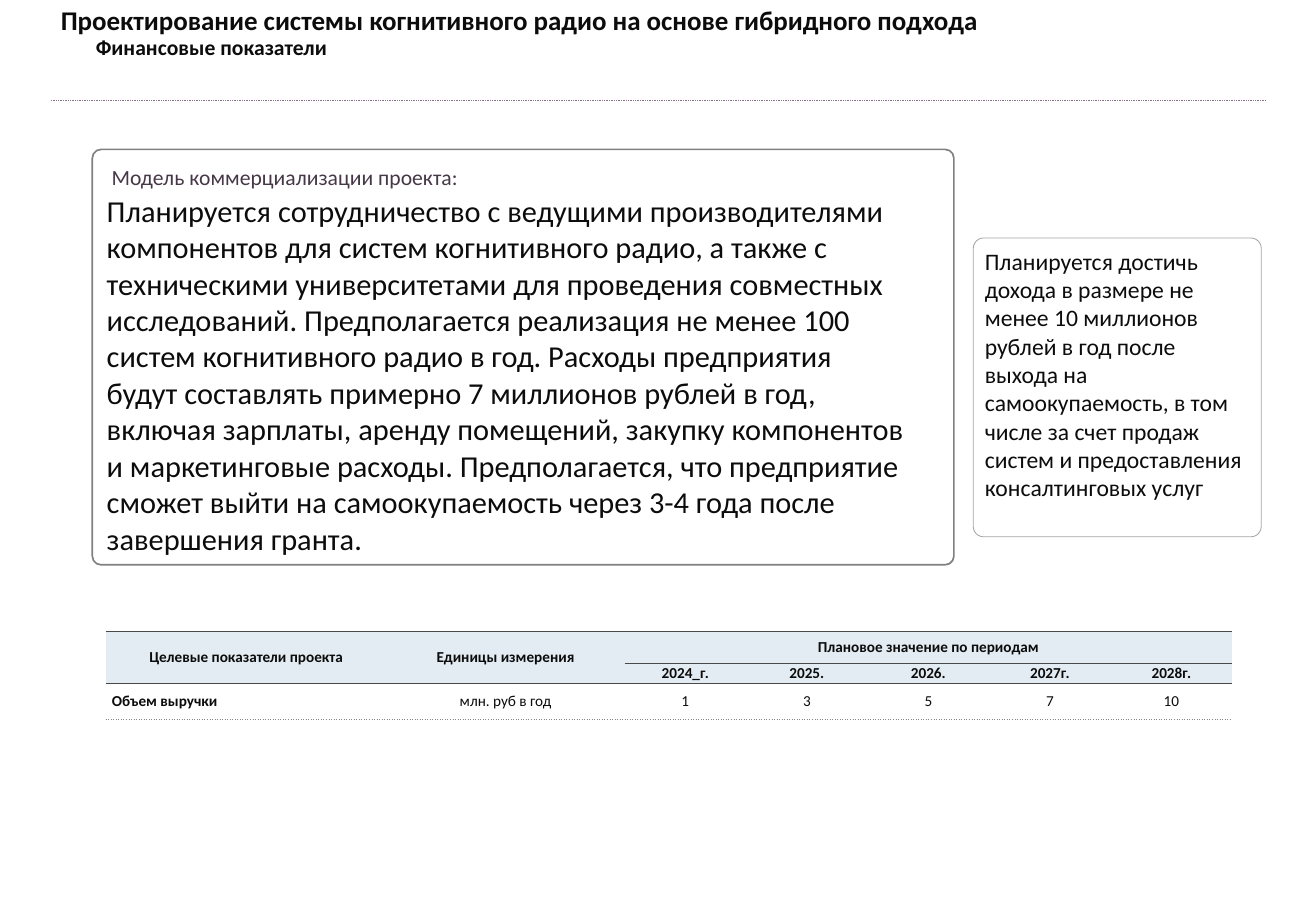
from pptx import Presentation
from pptx.dml.color import RGBColor
from pptx.enum.dml import MSO_LINE
from pptx.enum.shapes import MSO_CONNECTOR, MSO_SHAPE
from pptx.enum.text import MSO_ANCHOR as ANCHOR, MSO_AUTO_SIZE as FIT, PP_ALIGN as ALIGN
from pptx.oxml import parse_xml
from pptx.oxml.ns import nsdecls
from pptx.util import Inches, Pt

FONT = "Calibri"
INK = RGBColor(0x0C, 0x0C, 0x0C)
PLUM = RGBColor(0x47, 0x38, 0x48)
MAUVE = RGBColor(0x8E, 0x70, 0x8F)
WHITE = RGBColor(0xFF, 0xFF, 0xFF)
GRAY = RGBColor(0x80, 0x80, 0x80)
SILVER = RGBColor(0xA6, 0xA6, 0xA6)
PALE = RGBColor(0xE3, 0xEC, 0xF3)
DARK = RGBColor(0x49, 0x49, 0x49)
DOTS = RGBColor(0x86, 0x86, 0x86)

TITLE = "Проектирование системы когнитивного радио на основе гибридного подхода"
MODEL = (
    "Планируется сотрудничество с ведущими производителями компонентов для систем "
    "когнитивного радио, а также с техническими университетами для проведения "
    "совместных исследований. Предполагается реализация не менее 100 систем "
    "когнитивного радио в год. Расходы предприятия будут составлять примерно "
    "7 миллионов рублей в год, включая зарплаты, аренду помещений, закупку "
    "компонентов и маркетинговые расходы. Предполагается, что предприятие сможет "
    "выйти на самоокупаемость через 3-4 года после завершения гранта."
)
INCOME = (
    "Планируется достичь дохода в размере не менее 10 миллионов рублей в год после "
    "выхода на самоокупаемость, в том числе за счет продаж систем и предоставления "
    "консалтинговых услуг"
)
WIDTHS = [2.31, 1.96] + [1] * 5
HEIGHTS = [0.26, 0.17, 0.29]
ROWS = [
    ["Целевые показатели проекта", "Единицы измерения",
     "Плановое значение по периодам", "", "", "", ""],
    ["", "", "2024_г.", "2025.", "2026.", "2027г.", "2028г."],
    ["Объем выручки", "млн. руб в год", "1", "3", "5", "7", "10"],
]


def place(box):
    return [Inches(n) for n in box]


def write(frame, text, size, color=INK, bold=False, align=ALIGN.LEFT):
    frame.text = text
    par = frame.paragraphs[0]
    par.alignment = align
    font = par.font
    font.name, font.size, font.bold = FONT, Pt(size), bold
    font.color.rgb = color


def add_title(slide, box, text):
    title = slide.shapes.title
    title.left, title.top, title.width, title.height = place(box)
    frame = title.text_frame
    frame.word_wrap = True
    frame.auto_size = FIT.NONE
    frame.vertical_anchor = ANCHOR.TOP
    write(frame, text, 16, bold=True)


def add_text(slide, box, text, size, color=INK, bold=False):
    frame = slide.shapes.add_textbox(*place(box)).text_frame
    frame.word_wrap = True
    write(frame, text, size, color, bold)


def add_panel(slide, box, radius, color, width):
    panel = slide.shapes.add_shape(MSO_SHAPE.ROUNDED_RECTANGLE, *place(box))
    panel.adjustments[0] = radius
    panel.shadow.inherit = False
    panel.fill.background()
    panel.line.color.rgb = color
    panel.line.width = Pt(width)
    return panel


def add_rule(slide, left, right, top):
    rule = slide.shapes.add_connector(
        MSO_CONNECTOR.STRAIGHT, *place([left, top, right, top]))
    rule.line.color.rgb = MAUVE
    rule.line.width = Pt(0.5)
    rule.line.dash_style = MSO_LINE.ROUND_DOT
    rule._element.spPr.append(parse_xml(f"<a:effectLst {nsdecls('a')}/>"))


def set_edges(cell, last):
    props = cell._tc.get_or_add_tcPr()
    for side in "LR":
        props.append(parse_xml(
            f'<a:ln{side} {nsdecls("a")} w="0"><a:noFill/></a:ln{side}>'))
    foot = (DOTS, "sysDot") if last else (DARK, "solid")
    for side, (color, dash) in (("T", (DARK, "solid")), ("B", foot)):
        props.append(parse_xml(
            f'<a:ln{side} {nsdecls("a")} w="{Pt(0.5)}"><a:solidFill>'
            f'<a:srgbClr val="{color}"/></a:solidFill>'
            f'<a:prstDash val="{dash}"/></a:ln{side}>'))


def add_grid(slide, left, top):
    box = place([left, top, sum(WIDTHS), sum(HEIGHTS)])
    grid = slide.shapes.add_table(len(ROWS), len(WIDTHS), *box).table
    grid.first_row = grid.horz_banding = False
    for col, width in zip(grid.columns, WIDTHS):
        col.width = Inches(width)
    for row, height in zip(grid.rows, HEIGHTS):
        row.height = Inches(height)
    for r, row in enumerate(ROWS):
        last = r == len(ROWS) - 1
        for c, text in enumerate(row):
            cell = grid.cell(r, c)
            cell.margin_left = cell.margin_right = Inches(0.05)
            cell.margin_top = cell.margin_bottom = 0
            cell.vertical_anchor = ANCHOR.MIDDLE
            set_edges(cell, last)
            if last:
                cell.fill.background()
            else:
                cell.fill.solid()
                cell.fill.fore_color.rgb = PALE
            align = ALIGN.LEFT if last and c == 0 else ALIGN.CENTER
            write(cell.text_frame, text, 9, bold=not last or c == 0, align=align)
    # Merged headings
    for c in (0, 1):
        grid.cell(0, c).merge(grid.cell(1, c))
    grid.cell(0, 2).merge(grid.cell(0, len(WIDTHS) - 1))


def main():
    deck = Presentation()
    deck.slide_width, deck.slide_height = Inches(10.83), Inches(7.5)
    slide = deck.slides.add_slide(deck.slide_layouts[5])

    # Heading
    add_title(slide, [0.4, -0.02, 7.83, 0.63], TITLE)
    add_text(slide, [0.69, 0.23, 2.13, 0.32], "Финансовые показатели", 12.8, bold=True)
    add_rule(slide, 0.42, 10.42, 0.83)

    # Targets by year
    add_grid(slide, 0.87, 5.2)

    # Expected income
    side = add_panel(slide, [8.01, 1.96, 2.37, 2.46], 0.036, SILVER, 0.5)
    side.fill.solid()
    side.fill.fore_color.rgb = WHITE
    frame = side.text_frame
    frame.word_wrap = True
    frame.vertical_anchor = ANCHOR.MIDDLE
    frame.margin_left = frame.margin_right = Inches(0.07)
    frame.margin_top, frame.margin_bottom = Inches(0.04), Inches(0.26)
    write(frame, INCOME, 14)

    # Business model
    add_text(slide, [0.82, 1.3, 7, 0.32], "Модель коммерциализации проекта:", 12.8, PLUM)
    add_panel(slide, [0.76, 1.23, 7.09, 3.42], 0.021, GRAY, 1)
    add_text(slide, [0.78, 1.53, 6.79, 3.74], MODEL, 18)

    deck.save("out.pptx")


if __name__ == "__main__":
    main()
